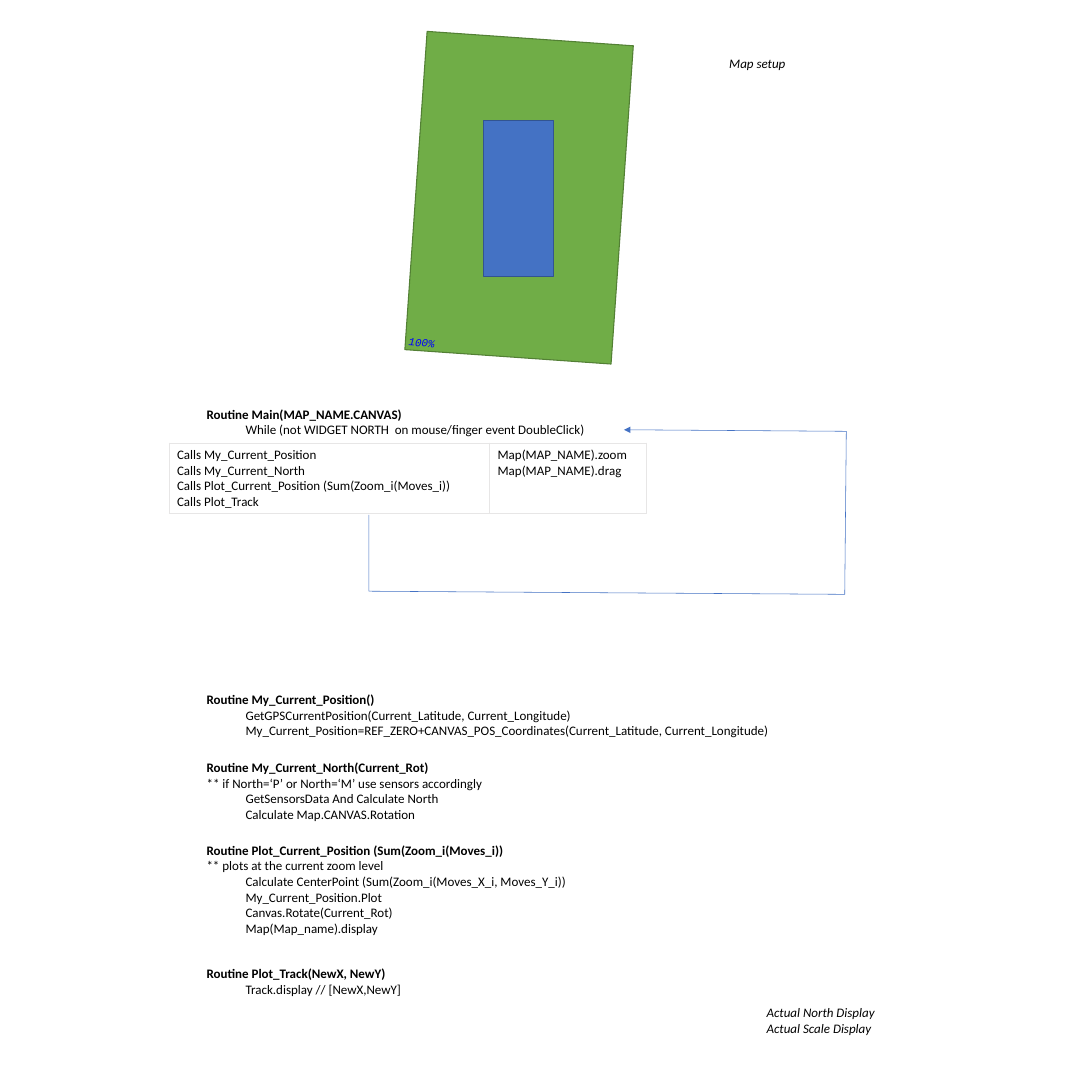
import pptx
import pptx.util
import pptx.dml.color
import pptx.enum.shapes
import pptx.oxml
import pptx.oxml.ns
from lxml import etree

Inches, Pt = pptx.util.Inches, pptx.util.Pt
RECT = pptx.enum.shapes.MSO_SHAPE.RECTANGLE

COLORS = {"text": "000000", "zoom": "0000FF", "land": "70AD47", "land_edge": "538035",
          "canvas": "4472C4", "canvas_edge": "325491", "border": "E7E6E6"}

# top, width, heading, comment lines, indented steps
ROUTINES = [
    (5.16, 5.47, "Routine Main(MAP_NAME.CANVAS)", [],
     ["While (not WIDGET NORTH  on mouse/finger event DoubleClick)"]),
    (8.82, 7.48, "Routine My_Current_Position()", [],
     ["GetGPSCurrentPosition(Current_Latitude, Current_Longitude)",
      "My_Current_Position=REF_ZERO+CANVAS_POS_Coordinates(Current_Latitude, Current_Longitude)"]),
    (9.69, 3.78, "Routine My_Current_North(Current_Rot)",
     ["** if North=‘P’ or North=‘M’ use sensors accordingly"],
     ["GetSensorsData And Calculate North", "Calculate Map.CANVAS.Rotation"]),
    (10.75, 4.86, "Routine Plot_Current_Position (Sum(Zoom_i(Moves_i))",
     ["** plots at the current zoom level"],
     ["Calculate CenterPoint (Sum(Zoom_i(Moves_X_i, Moves_Y_i))",
      "My_Current_Position.Plot", "Canvas.Rotate(Current_Rot)", "Map(Map_name).display"]),
    (12.33, 2.72, "Routine Plot_Track(NewX, NewY)", [], ["Track.display // [NewX,NewY]"]),
]
LOOP_CALLS = [
    (4.11, ["Calls My_Current_Position", "Calls My_Current_North",
            "Calls Plot_Current_Position (Sum(Zoom_i(Moves_i))", "Calls Plot_Track"]),
    (2.01, ["Map(MAP_NAME).zoom", "Map(MAP_NAME).drag"]),
]
LABELS = [(9.25, 0.66, 0.95, ["Map setup"]),
          (9.73, 12.83, 1.6, ["Actual North Display", "Actual Scale Display"])]
MAP_PARTS = [((5.33, 0.49, 2.65, 4.09), 4, "land"), ((6.2, 1.55, 0.9, 2), 0, "canvas")]
LOOP_POINTS = [(8, 5.51), (10.85, 5.53), (10.83, 7.62), (4.73, 7.58), (4.73, 6.6)]
ROUTINE_LEFT, LINE_HEIGHT, INSETS = 2.55, 0.2, 0.1


def rgb(name):
    return pptx.dml.color.RGBColor.from_string(COLORS[name])


def add_line(tf, text, size=12, font="Calibri", color="text", bold=False, italic=False, indent=0):
    """Write text into the empty first paragraph, or into a new one."""
    p = tf.paragraphs[0] if not tf.text else tf.add_paragraph()
    if indent:
        p._p.get_or_add_pPr().set("marL", str(Inches(indent)))
    r = p.add_run()
    r.text = text
    r.font.size, r.font.name, r.font.color.rgb = Pt(size), font, rgb(color)
    r.font.bold, r.font.italic = bold, italic


def add_box(s, left, top, width, lines):
    """Add a text box; lines holds pairs of text and format."""
    height = LINE_HEIGHT * len(lines) + INSETS
    sp = s.shapes.add_textbox(*map(Inches, (left, top, width, height)))
    sp.text_frame.word_wrap = True
    for text, style in lines:
        add_line(sp.text_frame, text, **style)
    return sp


def add_map(s):
    for place, rotation, name in MAP_PARTS:
        sp = s.shapes.add_shape(RECT, *map(Inches, place))
        sp.shadow.inherit = False
        sp.rotation = rotation
        sp.fill.solid()
        sp.fill.fore_color.rgb = rgb(name)
        sp.line.color.rgb = rgb(name + "_edge")
        sp.line.width = Pt(1)
    zoom = add_box(s, 5.14, 4.26, 0.55,
                   [("100%", dict(size=10, font="Courier New", color="zoom", italic=True))])
    zoom.rotation = 4


def add_loop_arrow(s):
    points = [(Inches(x), Inches(y)) for x, y in LOOP_POINTS]
    builder = s.shapes.build_freeform(*points[0])
    builder.add_line_segments(points[1:], close=False)
    sp = builder.convert_to_shape()
    sp.shadow.inherit = False
    sp.fill.background()
    sp.line.color.rgb = rgb("canvas")
    sp.line.width = Pt(0.5)
    etree.SubElement(sp.line._get_or_add_ln(), pptx.oxml.ns.qn("a:headEnd"), type="triangle")


def set_borders(cell):
    tcPr = cell._tc.get_or_add_tcPr()
    for i, side in enumerate(("lnL", "lnR", "lnT", "lnB")):
        tcPr.insert(i, pptx.oxml.parse_xml(
            f'<a:{side} {pptx.oxml.ns.nsdecls("a")} w="{Pt(1)}"><a:solidFill>'
            f'<a:srgbClr val="{COLORS["border"]}"/></a:solidFill></a:{side}>'))


def add_loop_table(s):
    width = sum(w for w, _ in LOOP_CALLS)
    table = s.shapes.add_table(1, len(LOOP_CALLS), *map(Inches, (2.17, 5.68, width, 0.9))).table
    table.first_row = table.horz_banding = False
    for i, (w, lines) in enumerate(LOOP_CALLS):
        table.columns[i].width = Inches(w)
        cell = table.cell(0, i)
        cell.fill.background()
        set_borders(cell)
        for text in lines:
            add_line(cell.text_frame, text)


def main():
    prs = pptx.Presentation()
    prs.slide_width = prs.slide_height = Inches(14)
    s = prs.slides.add_slide(prs.slide_layouts[6])
    for top, width, heading, comments, steps in ROUTINES:
        lines = [(heading, dict(bold=True))]
        lines += [(text, {}) for text in comments]
        lines += [(text, dict(indent=0.5)) for text in steps]
        add_box(s, ROUTINE_LEFT, top, width, lines)
    add_loop_arrow(s)
    add_loop_table(s)
    add_map(s)
    for left, top, width, lines in LABELS:
        add_box(s, left, top, width, [(text, dict(italic=True)) for text in lines])
    prs.save("out.pptx")


if __name__ == "__main__":
    main()
